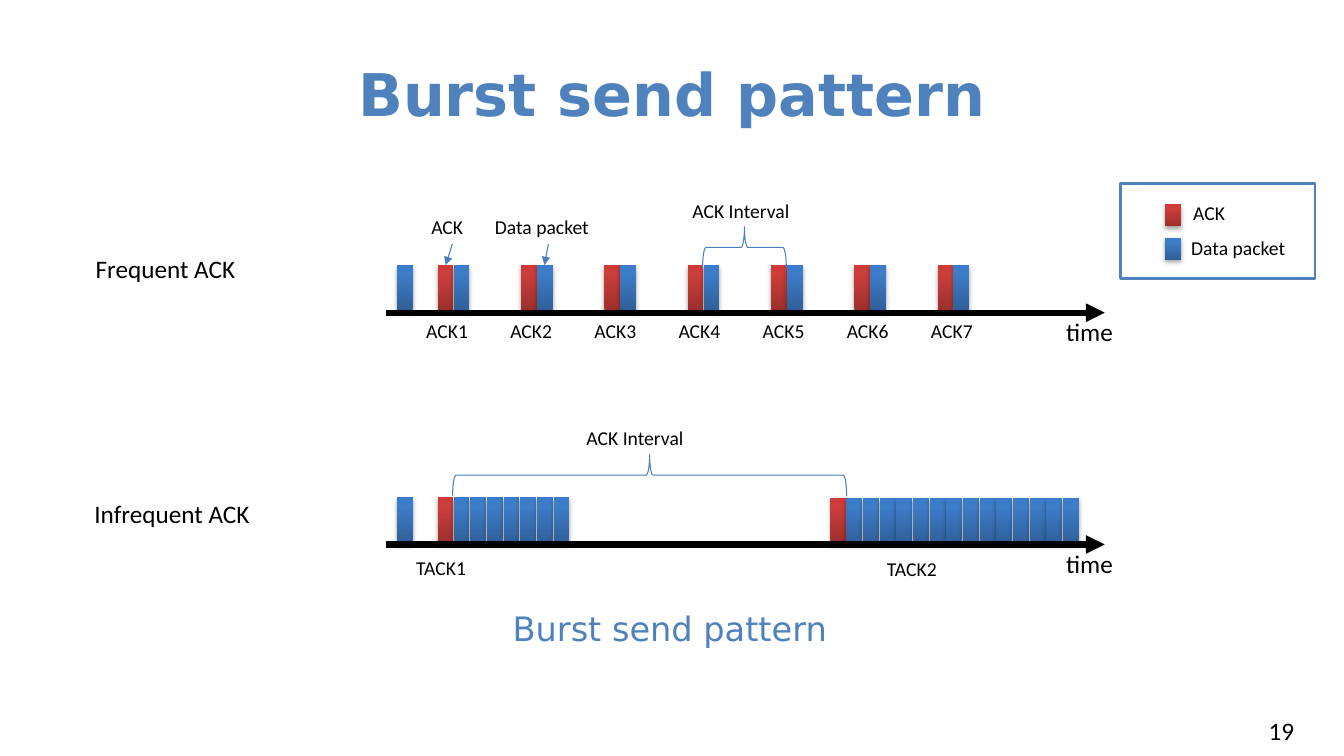
from typing import Any, NamedTuple

import pptx
import pptx.dml.color
import pptx.enum.shapes
import pptx.enum.text
import pptx.oxml.ns
import pptx.util
from lxml import etree

Cm = pptx.util.Cm
Pt = pptx.util.Pt
qn = pptx.oxml.ns.qn
KIND = pptx.enum.shapes.MSO_SHAPE
BLUE = "4F81BD"
THIN = "4B7EBC"
RED_BAR = ((0, "9C2F2D"), (80, "CB3E3A"), (100, "CE3B37"))
BLUE_BAR = ((0, "2F5F99"), (80, "3D7CC7"), (100, "3A7CCB"))
SMALL = {"size": Pt(14), "name": "Calibri"}
LARGE = {"size": Pt(18), "name": "Calibri"}
NOTE = {"size": Pt(24), "name": "DejaVu Sans"}
HEAD = {"size": Pt(42), "name": "DejaVu Sans", "bold": True}
BAR_W, BAR_H = 0.4, 1.16
ACK_X, DATA_X = 11.03, 10.0
TOP_Y, LOW_Y = 6.68, 12.53


class Label(NamedTuple):
    text: str
    x: float
    y: float
    w: float
    h: float = 0.86
    style: dict[str, Any] = SMALL
    color: str = "000000"
    align: str = "LEFT"
    anchor: str = "TOP"


class Bar(NamedTuple):
    x: float
    y: float
    stops: tuple = BLUE_BAR
    h: float = BAR_H


class Arrow(NamedTuple):
    x1: float
    y1: float
    x2: float
    y2: float
    color: str = THIN
    width: float = 0.75


class Brace(NamedTuple):
    x: float
    y: float
    h: float


def rgb(code: str) -> pptx.dml.color.RGBColor:
    return pptx.dml.color.RGBColor.from_string(code)


def burst(x: float, y: float, count: int) -> list[Bar]:
    return [Bar(x, y, RED_BAR)] + [Bar(x + BAR_W + 0.42 * i, y) for i in range(count)]


def draw_text(slide: Any, item: Label) -> None:
    box = slide.shapes.add_textbox(Cm(item.x), Cm(item.y), Cm(item.w), Cm(item.h))
    frame = box.text_frame
    frame.word_wrap = True
    frame.vertical_anchor = pptx.enum.text.MSO_ANCHOR[item.anchor]
    line = frame.paragraphs[0]
    line.alignment = pptx.enum.text.PP_ALIGN[item.align]
    run = line.add_run()
    run.text = item.text
    for key, value in item.style.items():
        setattr(run.font, key, value)
    run.font.color.rgb = rgb(item.color)


def draw_shape(slide: Any, kind: Any, x: float, y: float, w: float, h: float) -> Any:
    shape = slide.shapes.add_shape(kind, Cm(x), Cm(y), Cm(w), Cm(h))
    shape.shadow.inherit = False
    return shape


def add_tint(parent: Any, code: str) -> Any:
    return etree.SubElement(parent, qn("a:srgbClr"), val=code)


def draw_bar(slide: Any, bar: Bar) -> None:
    shape = draw_shape(slide, KIND.RECTANGLE, bar.x, bar.y, BAR_W, bar.h)
    shape.line.fill.background()
    shape.fill.gradient()
    shape.fill.gradient_angle = 90
    props = shape._element.spPr
    stops = props.find(".//" + qn("a:gsLst"))
    for old in list(stops):
        stops.remove(old)
    for place, code in bar.stops:
        add_tint(etree.SubElement(stops, qn("a:gs"), pos=str(place * 1000)), code)
    shade = etree.SubElement(
        props.find(qn("a:effectLst")), qn("a:outerShdw"),
        blurRad="40000", dist="23000", dir="5400000", rotWithShape="0",
    )
    etree.SubElement(add_tint(shade, "000000"), qn("a:alpha"), val="35000")


def draw_arrow(slide: Any, item: Arrow) -> None:
    line = slide.shapes.add_connector(
        pptx.enum.shapes.MSO_CONNECTOR.STRAIGHT,
        Cm(item.x1), Cm(item.y1), Cm(item.x2), Cm(item.y2),
    )
    line.line.color.rgb = rgb(item.color)
    line.line.width = Pt(item.width)
    props = line._element.spPr
    etree.SubElement(props.find(qn("a:ln")), qn("a:tailEnd"), type="triangle")
    etree.SubElement(props, qn("a:effectLst"))


def draw_brace(slide: Any, item: Brace) -> None:
    shape = draw_shape(slide, KIND.LEFT_BRACE, item.x, item.y, 1.04, item.h)
    shape.rotation = 90
    shape.fill.background()
    shape.line.color.rgb = rgb(THIN)
    shape.line.width = Pt(0.75)


def draw_frame(slide: Any) -> None:
    shape = draw_shape(slide, KIND.RECTANGLE, 28.24, 4.62, 4.9, 2.39)
    shape.fill.solid()
    shape.fill.fore_color.rgb = rgb("FFFFFF")
    shape.line.color.rgb = rgb(BLUE)
    shape.line.width = Pt(2)


BARS = [Bar(DATA_X, TOP_Y), Bar(DATA_X, LOW_Y)]
for step in range(7):
    BARS += burst(ACK_X + 2.1 * step, TOP_Y, 1)
BARS += burst(ACK_X, LOW_Y, 7) + burst(20.93, LOW_Y + 0.02, 14)
BARS += [Bar(29.36, 5.14, RED_BAR, 0.56), Bar(29.36, 5.99, BLUE_BAR, 0.56)]

ARROWS = [
    Arrow(11.4, 6.15, 11.23, TOP_Y),
    Arrow(13.82, 6.15, 13.72, TOP_Y),
    *(Arrow(9.73, y, 27.84, y, "000000", 4.5) for y in (7.88, 13.72)),
]

BRACES = [Brace(18.24, 5.18, 2.11), Brace(15.85, 7.01, 9.93)]

LABELS = [
    Label("Burst send pattern", 0, 0.76, 33.87, 3.18, HEAD, BLUE, "CENTER", "MIDDLE"),
    Label("Frequent ACK", 2.16, 6.25, 5.89, 1.27, LARGE),
    Label("Infrequent ACK", 2.13, 12.42, 6.32, 1.27, LARGE),
    Label("ACK", 10.62, 5.28, 1.55),
    Label("Data packet", 12.22, 5.28, 3.18),
    Label("ACK Interval", 17.2, 4.88, 3.3),
    *(Label(f"ACK{i + 1}", 10.49 + 2.12 * i, 7.92, 1.83) for i in range(7)),
    Label("ACK Interval", 14.53, 10.62, 3.73),
    Label("TACK1", 10.24, 13.89, 2.08),
    Label("TACK2", 22.1, 13.92, 2.08),
    *(Label("time", 26.62, y, 2.13, 1.27, LARGE) for y in (7.85, 13.69)),
    Label("ACK", 29.82, 4.95, 1.55),
    Label("Data packet", 29.77, 5.82, 3.18),
    Label("Burst send pattern", 12.67, 15.19, 8.86, 1.27, NOTE, BLUE),
    Label("19", 31.72, 17.91, 1.65, 1.02, LARGE),
]


def main() -> None:
    deck = pptx.Presentation()
    deck.slide_width, deck.slide_height = Cm(33.87), Cm(19.05)
    slide = deck.slides.add_slide(deck.slide_layouts[6])
    draw_frame(slide)
    for bar in BARS:
        draw_bar(slide, bar)
    for arrow in ARROWS:
        draw_arrow(slide, arrow)
    for brace in BRACES:
        draw_brace(slide, brace)
    for label in LABELS:
        draw_text(slide, label)
    deck.save("out.pptx")


if __name__ == "__main__":
    main()
